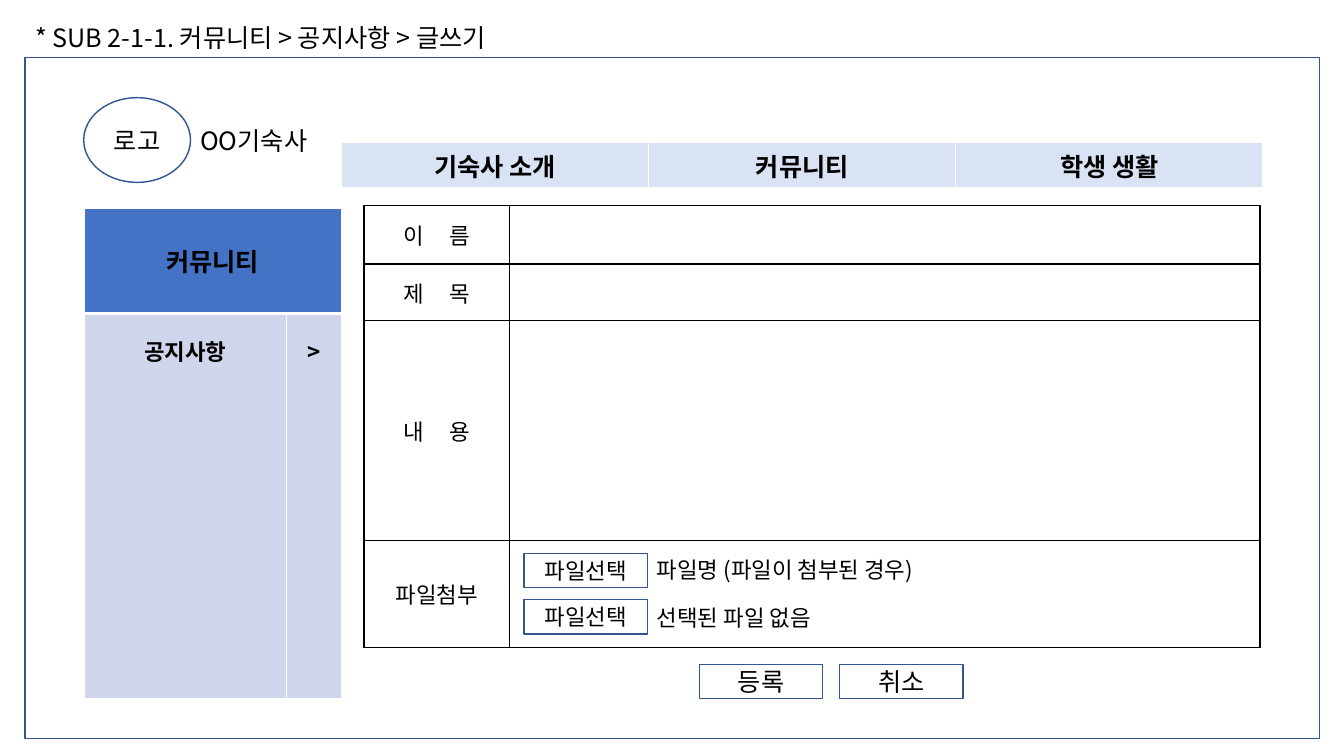
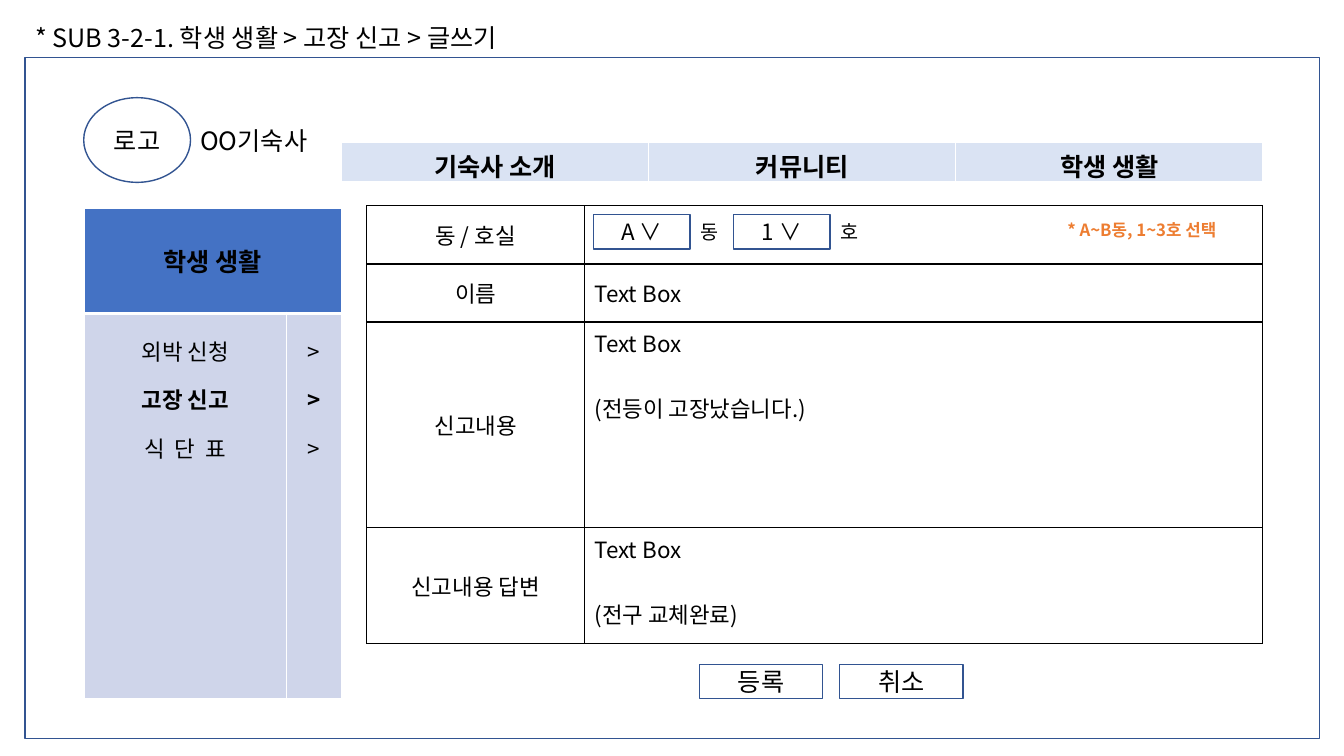
from lxml import etree
from pptx import Presentation
from pptx.dml.color import RGBColor
from pptx.enum import shapes, text
from pptx.oxml.ns import qn
from pptx.util import Pt

FONT = "Noto Sans CJK KR"
HUE = {"ink": "000000", "edge": "325491", "white": "FFFFFF", "menu": "DAE3F3",
       "head": "4472C4", "side": "CFD5EA", "note": "ED7D31"}
# Labels set wide: extra points after each letter but the last
WIDE = {"이 름": 7, "제 목": 7, "내 용": 7, "식 단 표": 1.8}
MID, TOP = text.MSO_ANCHOR.MIDDLE, text.MSO_ANCHOR.TOP
RECT, OVAL = shapes.MSO_SHAPE.RECTANGLE, shapes.MSO_SHAPE.OVAL


def write(frame, lines, size=16, bold=(), hue="ink", mid=True, lead=None, skip=0):
    """Fill a text frame; bold holds the numbers of the bold lines."""
    for n, line in enumerate(lines):
        par = frame.paragraphs[0] if n == 0 else frame.add_paragraph()
        par.alignment = text.PP_ALIGN.CENTER if mid else text.PP_ALIGN.LEFT
        if lead:
            par.line_spacing = lead
        if n and skip:
            par.space_before = Pt(skip)
        gap = WIDE.get(line, 0)
        parts = [(line[:-1], gap), (line[-1], 0)] if gap else [(line, 0)]
        for part, space in parts:
            run = par.add_run()
            run.text = part
            run.font.size = Pt(size)
            run.font.bold = n in bold
            run.font.color.rgb = RGBColor.from_string(HUE[hue])
            run.font.name = FONT
            props = run._r.get_or_add_rPr()
            etree.SubElement(props, qn("a:ea"), typeface=FONT)
            if space:
                props.set("spc", str(round(space * 100)))


def grid(slide, left, top, cols, rows, hue, fills, thick=None):
    """Add a ruled table; thick is the row whose lower rule is 3 pt."""
    table = slide.shapes.add_table(len(rows), len(cols), Pt(left), Pt(top),
                                   Pt(sum(cols)), Pt(sum(rows))).table
    table.first_row = table.horz_banding = False
    for col, width in zip(table.columns, cols):
        col.width = Pt(width)
    for r, high in enumerate(rows):
        table.rows[r].height = Pt(high)
        for c in range(len(cols)):
            cell = table.cell(r, c)
            if fills:
                cell.fill.solid()
                cell.fill.fore_color.rgb = RGBColor.from_string(HUE[fills[r]])
            else:
                cell.fill.background()
            props = cell._tc.get_or_add_tcPr()
            for n, side in enumerate("LRTB"):
                bold = (side == "B" and r == thick) or (
                    side == "T" and thick is not None and r == thick + 1)
                rule = etree.Element(qn("a:ln" + side), w=str(Pt(3 if bold else 1)))
                fill = etree.SubElement(rule, qn("a:solidFill"))
                etree.SubElement(fill, qn("a:srgbClr"), val=HUE[hue])
                props.insert(n, rule)
    return table


# What each page holds; boxes are shape, left, top, width, height, text, size
pages = [
    {"title": "* SUB 2-1-1. 커뮤니티 > 공지사항 > 글쓰기",
     "head": "커뮤니티", "items": ["공지사항"], "now": 0,
     "left": 260, "cols": [104, 536], "rows": [41.5, 40.5, 157, 76.5],
     "form": [("이 름", []), ("제 목", []), ("내 용", []), ("파일첨부", [])],
     "boxes": [(RECT, 374.4, 395.3, 88, 24.5, "파일선택", 16),
               (RECT, 374.4, 428.4, 88, 24.5, "파일선택", 16),
               (None, 462.2, 393.8, 225, 26.6, "파일명 (파일이 첨부된 경우)", 16),
               (None, 462.2, 427.7, 150, 26.6, "선택된 파일 없음", 16)]},
    {"title": "* SUB 3-2-1. 학생 생활 > 고장 신고 > 글쓰기",
     "head": "학생 생활", "items": ["외박 신청", "고장 신고", "식 단 표"], "now": 1,
     "left": 262, "cols": [155.5, 484.5], "rows": [41.5, 41.5, 147, 82.5],
     "form": [("동 / 호실", []), ("이름", ["Text Box"]),
              ("신고내용", ["Text Box", "(전등이 고장났습니다.)"]),
              ("신고내용 답변", ["Text Box", "(전구 교체완료)"])],
     "boxes": [(RECT, 424, 153.4, 69, 24.5, "A ∨", 16),
               (RECT, 524, 153.4, 69, 24.5, "1 ∨", 16),
               (None, 493, 153.4, 36, 24.5, "동", 14),
               (None, 593, 153.4, 36, 24.5, "호", 14),
               (None, 755.3, 153.4, 147, 21.6, "* A~B동, 1~3호 선택", 12)]},
]
# Boxes on every page
shared = [(RECT, 18, 41, 924.5, 486.7, "", 18),
          (OVAL, 59.8, 69.8, 76.3, 60.5, "로고", 18),
          (None, 136, 85.7, 108, 29, "OO기숙사", 18),
          (RECT, 499.7, 474.5, 88, 24.5, "등록", 18),
          (RECT, 599.8, 474.5, 88, 24.5, "취소", 18)]

deck = Presentation()
deck.slide_width, deck.slide_height = Pt(960), Pt(540)

for page in pages:
    slide = deck.slides.add_slide(deck.slide_layouts[6])

    # Top menu
    menu = grid(slide, 244, 101.7, [219.4] * 3, [29.2], "white", ["menu"], 0)
    for c, name in enumerate(["기숙사 소개", "커뮤니티", "학생 생활"]):
        write(menu.cell(0, c).text_frame, [name], 18, (0,))

    # Side menu
    side = grid(slide, 60, 148.5, [144.5, 39.5], [75.5, 275], "white",
                ["head", "side"], 0)
    side.cell(0, 0).merge(side.cell(0, 1))
    side.cell(0, 0).vertical_anchor = MID
    write(side.cell(0, 0).text_frame, [page["head"]], 18, (0,))
    for c, names in enumerate([page["items"], [">"] * len(page["items"])]):
        write(side.cell(1, c).text_frame, names, bold=(page["now"],), lead=1.5)

    # Form
    form = grid(slide, page["left"], 147, page["cols"], page["rows"], "ink", None)
    for r, (label, lines) in enumerate(page["form"]):
        form.cell(r, 0).vertical_anchor = MID
        write(form.cell(r, 0).text_frame, [label])
        form.cell(r, 1).vertical_anchor = MID if len(lines) == 1 else TOP
        write(form.cell(r, 1).text_frame, lines, mid=False, skip=23)

    # Title, frame, logo, buttons and labels
    title = (None, 18, 12.2, 460, 29, page["title"], 18)
    for kind, x, y, w, h, words, size in [title] + shared + page["boxes"]:
        area = Pt(x), Pt(y), Pt(w), Pt(h)
        if kind is None:
            box = slide.shapes.add_textbox(*area)
        else:
            box = slide.shapes.add_shape(kind, *area)
            box.shadow.inherit = False
            box.fill.background()
            box.line.color.rgb = RGBColor.from_string(HUE["edge"])
            box.line.width = Pt(1)
            box.text_frame.vertical_anchor = MID
        box.text_frame.word_wrap = True
        if words:
            note = size == 12
            write(box.text_frame, [words], size, (0,) if note else (),
                  "note" if note else "ink", kind is not None)

deck.save("out.pptx")
